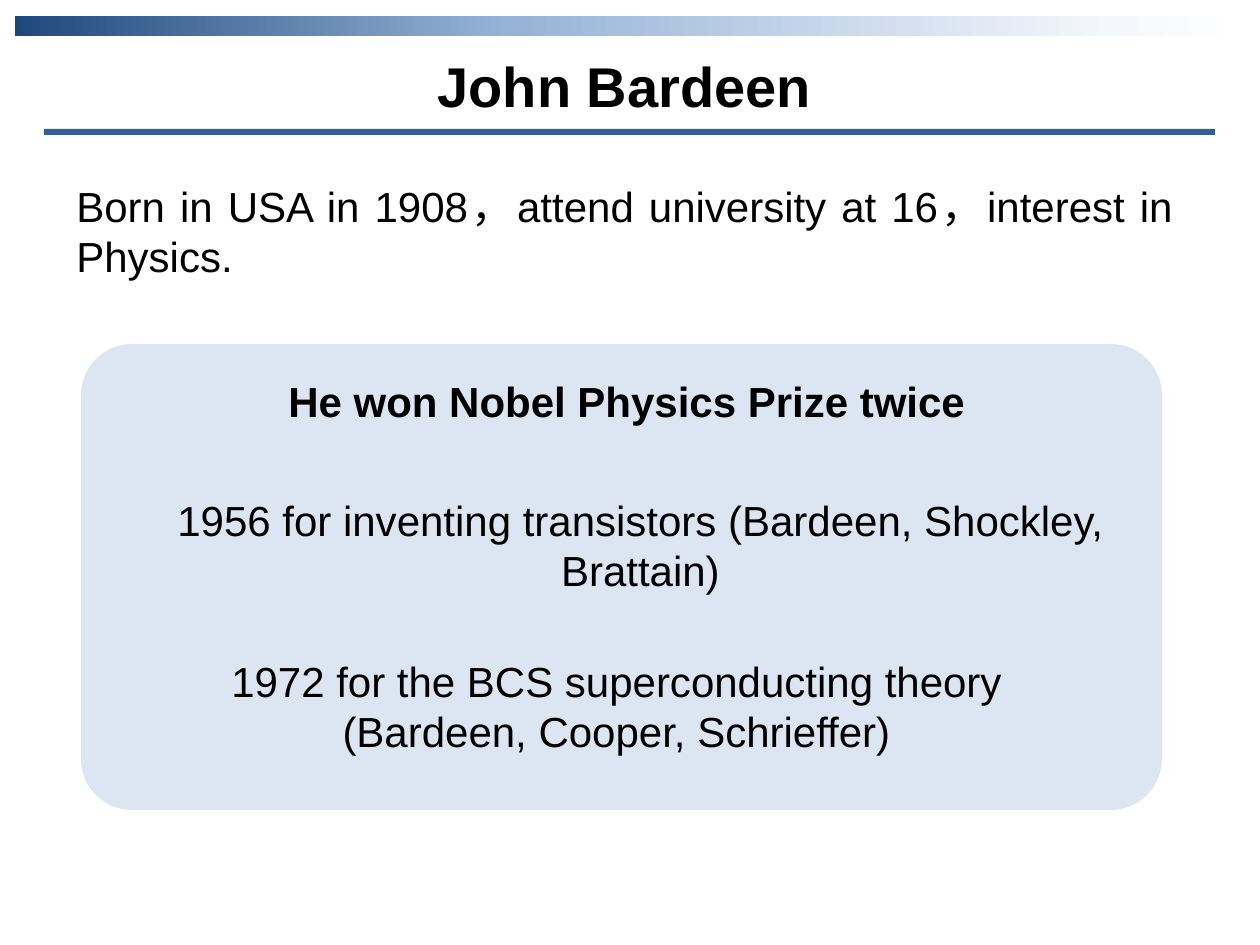
from lxml import etree
from pptx import Presentation
from pptx import util as u
from pptx.dml.color import RGBColor
from pptx.enum import shapes, text
from pptx.oxml import ns

EMU_PER_PX = 914400 / 126
COLORS = {"text": "000000", "panel": "DCE6F2", "rule": "376092"}
BAR_STOPS = [(0, "1F497D"), (40, "95B3D7"), (89, "F4F7FC"), (100, "FFFFFF")]


def place(*lengths):
    """Turn px lengths into EMU."""
    return [u.Emu(round(length * EMU_PER_PX)) for length in lengths]


deck = Presentation()
deck.slide_width, deck.slide_height = place(1260, 945)
page = deck.slides.add_slide(deck.slide_layouts[6])

# Panel, top bar and title rule
kinds = shapes.MSO_SHAPE
blocks = {}
for name, kind, frame in [
    ("panel", kinds.ROUNDED_RECTANGLE, (81, 344, 1081, 466)),
    ("bar", kinds.RECTANGLE, (15, 16, 1230, 20)),
    ("rule", kinds.RECTANGLE, (44, 129, 1171, 6)),
]:
    block = page.shapes.add_shape(kind, *place(*frame))
    block.shadow.inherit = False
    block.line.fill.background()
    if name in COLORS:
        block.fill.solid()
        block.fill.fore_color.rgb = RGBColor.from_string(COLORS[name])
    blocks[name] = block
blocks["panel"].adjustments[0] = 0.11

# The bar fades through four stops from left to right
fill = blocks["bar"].fill
fill.gradient()
fill.gradient_angle = 0
stop_list = blocks["bar"]._element.spPr.find(".//" + ns.qn("a:gsLst"))
for stop in list(stop_list):
    stop_list.remove(stop)
for percent, color in BAR_STOPS:
    stop = etree.SubElement(stop_list, ns.qn("a:gs"), pos=str(percent * 1000))
    etree.SubElement(stop, ns.qn("a:srgbClr"), val=color)

# Texts: wording, frame, alignment, format
align = text.PP_ALIGN
body = {"name": "Arial", "size": u.Pt(24), "bold": False}
heading = {**body, "bold": True}
title = {**heading, "size": u.Pt(32)}
for wording, frame, alignment, look in [
    ("John Bardeen", (84, 45, 1081, 81), align.CENTER, title),
    ("1956 for inventing transistors (Bardeen, Shockley, Brattain)",
     (154, 488, 973, 115), align.CENTER, body),
    ("1972 for the BCS superconducting theory (Bardeen, Cooper, Schrieffer)",
     (130, 649, 973, 115), align.CENTER, body),
    ("Born in USA in 1908，attend university at 16，interest in Physics.",
     (64, 174, 1121, 115), align.JUSTIFY, body),
    ("He won Nobel Physics Prize twice", (276, 369, 708, 63), align.LEFT, heading),
]:
    box = page.shapes.add_textbox(*place(*frame))
    box.text_frame.word_wrap = look is not heading
    box.text_frame.auto_size = text.MSO_AUTO_SIZE.SHAPE_TO_FIT_TEXT
    para = box.text_frame.paragraphs[0]
    para.alignment = alignment
    span = para.add_run()
    span.text = wording
    span.font.color.rgb = RGBColor.from_string(COLORS["text"])
    for key, value in look.items():
        setattr(span.font, key, value)

deck.save("out.pptx")
